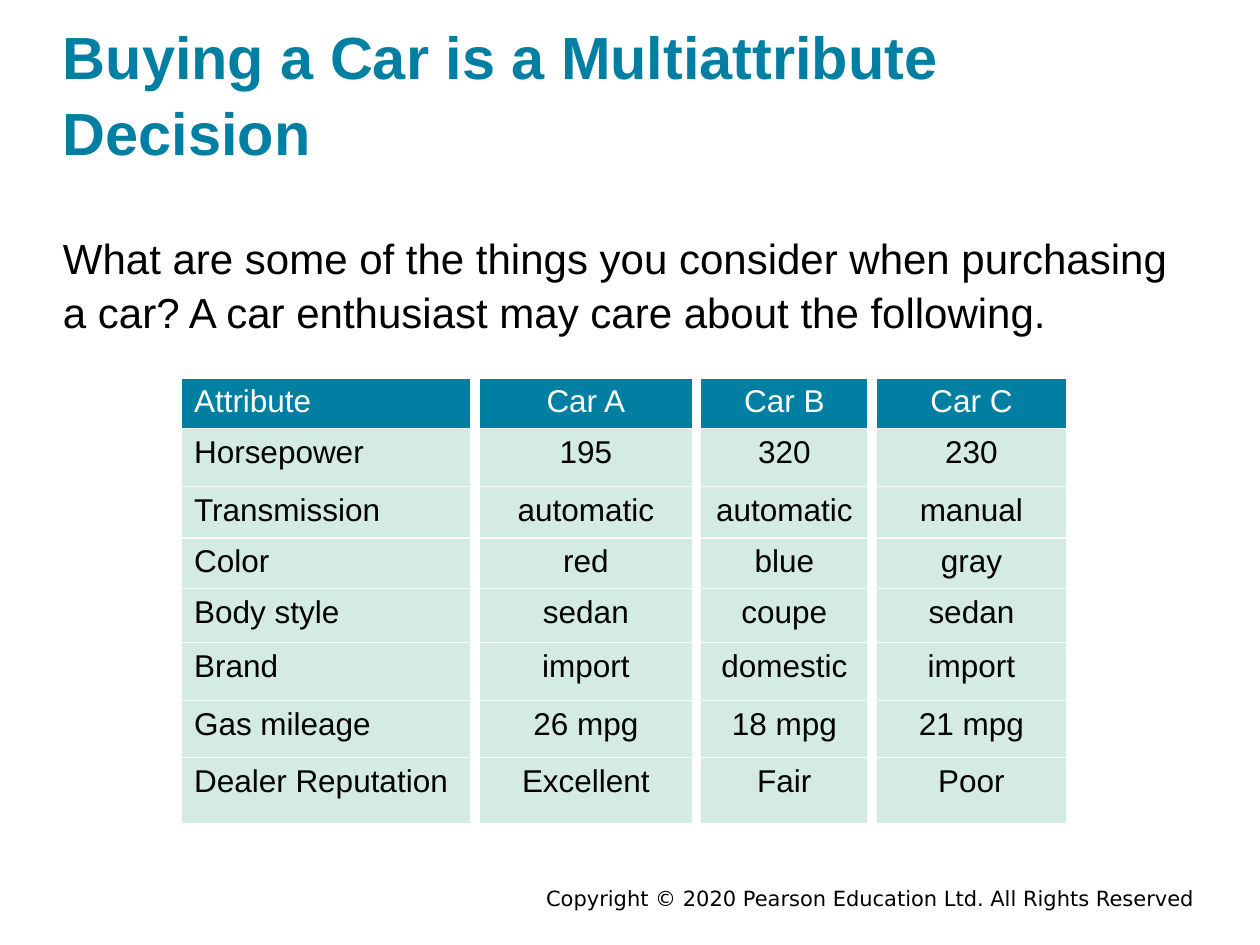
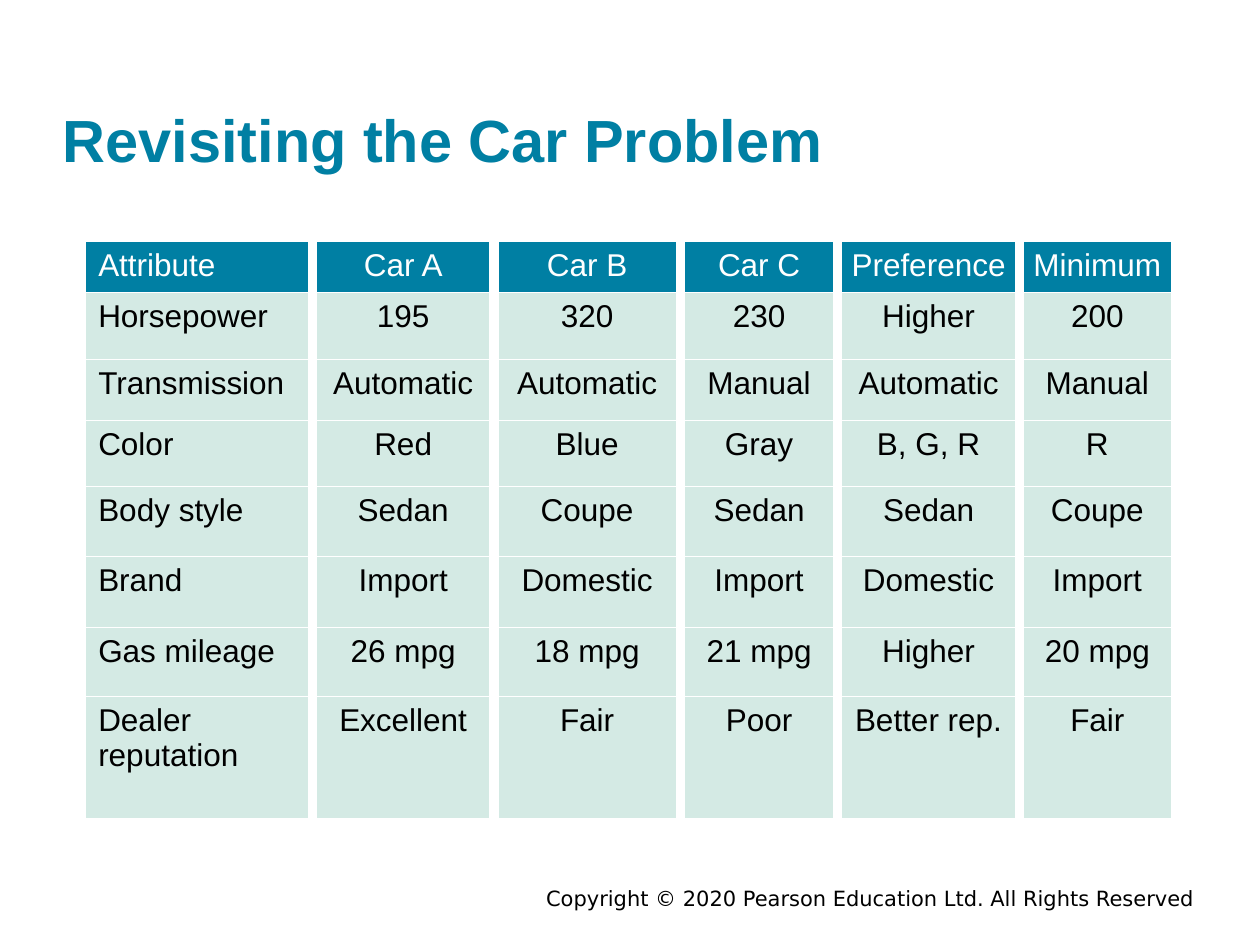
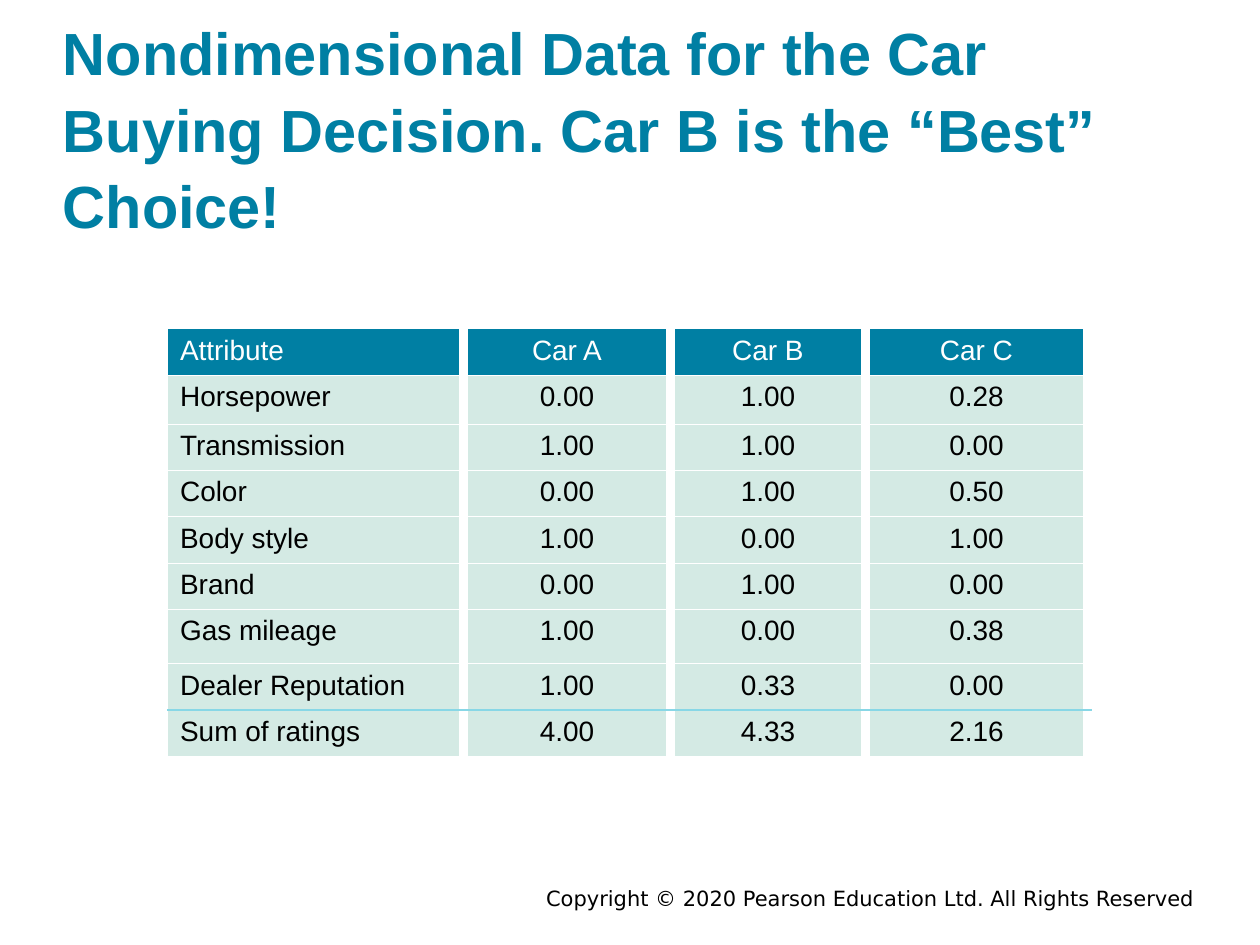
from lxml.etree import SubElement
from pptx import Presentation
from pptx.dml.color import RGBColor
from pptx.enum.text import MSO_ANCHOR, PP_ALIGN
from pptx.oxml.ns import qn
from pptx.util import Inches, Pt

COLORS = {
    "teal": "007FA3",
    "mint": "D4EAE4",
    "aqua": "88D7E6",
    "white": "FFFFFF",
    "black": "000000",
}
FONT = "Arial"
NOTICE = "Copyright © 2020 Pearson Education Ltd. All Rights Reserved"
LABELS = ["Horsepower", "Transmission", "Color", "Body style", "Brand",
          "Gas mileage"]


def rgb(name):
    return RGBColor.from_string(COLORS[name])


def add_run(para, text, size, color, font=FONT, bold=False):
    run = para.add_run()
    run.text = text
    run.font.name = font
    run.font.size = Pt(size)
    run.font.bold = bold
    run.font.color.rgb = rgb(color)


def add_text(slide, box, text, size, color, align=PP_ALIGN.LEFT,
             anchor=MSO_ANCHOR.TOP, spacing=1.0, font=FONT, bold=False):
    frame = slide.shapes.add_textbox(*map(Inches, box)).text_frame
    frame.word_wrap = True
    frame.vertical_anchor = anchor
    frame.margin_left = frame.margin_right = 0
    frame.margin_top = frame.margin_bottom = 0
    para = frame.paragraphs[0]
    para.alignment = align
    para.line_spacing = spacing
    add_run(para, text, size, color, font, bold)


def add_page(deck, title, top, height):
    """Blank slide with the shared footer and title style."""
    slide = deck.slides.add_slide(deck.slide_layouts[6])
    add_text(slide, (2.84, 7.03, 6.64, 0.3), NOTICE, 12, "black",
             align=PP_ALIGN.RIGHT, font="DejaVu Sans")
    add_text(slide, (0.5, top, 9, height), title, 34, "teal",
             anchor=MSO_ANCHOR.BOTTOM, spacing=1.07, bold=True)
    return slide


def set_edges(cell, edges):
    """Draw cell borders, given as side: (color, points)."""
    props = cell._tc.get_or_add_tcPr()
    sides = [side for side in "LRTB" if side in edges]
    for spot, side in enumerate(sides):
        color, width = edges[side]
        line = SubElement(props, qn(f"a:ln{side}"), w=str(Pt(width)))
        fill = SubElement(line, qn("a:solidFill"))
        SubElement(fill, qn("a:srgbClr"), val=COLORS[color])
        props.insert(spot, line)


def add_grid(slide, left, top, widths, heights, rows, size, total=False):
    """Table with wide white gaps; total sets a rule above the last row."""
    frame = slide.shapes.add_table(
        len(rows), len(widths), Inches(left), Inches(top),
        Inches(sum(widths)), Inches(sum(heights)))
    table = frame.table
    table.horz_banding = False
    for col, width in zip(table.columns, widths):
        col.width = Inches(width)
    for row, height in zip(table.rows, heights):
        row.height = Inches(height)

    thin, wide, rule = ("white", 0.75), ("white", 6), ("aqua", 1.5)
    last = len(rows) - 1
    for r, row in enumerate(rows):
        for c, text in enumerate(row):
            cell = table.cell(r, c)
            cell.fill.solid()
            cell.fill.fore_color.rgb = rgb("mint" if r else "teal")
            para = cell.text_frame.paragraphs[0]
            para.alignment = PP_ALIGN.CENTER if c else PP_ALIGN.LEFT
            add_run(para, text, size, "black" if r else "white")
            edges = {"R": wide, "T": thin, "B": thin}
            if c:
                edges["L"] = wide
            if total and r == last:
                edges["T"] = rule
            if total and r == last - 1:
                edges["B"] = rule
            set_edges(cell, edges)


def make_rows(labels, *cols):
    """Put a label column beside the columns, each led by its heading."""
    return list(zip(["Attribute", *labels], *cols))


def main():
    deck = Presentation()
    deck.slide_width, deck.slide_height = Inches(10), Inches(7.5)

    # Attributes of each car
    slide = add_page(deck, "Buying a Car is a Multiattribute Decision",
                     0.21, 1.12)
    add_text(slide, (0.5, 1.81, 9, 0.92),
             "What are some of the things you consider when purchasing a car? "
             "A car enthusiast may care about the following.",
             24, "black", spacing=1.08)
    rows = make_rows(
        LABELS + ["Dealer Reputation"],
        ["Car A", "195", "automatic", "red", "sedan", "import", "26 mpg",
         "Excellent"],
        ["Car B", "320", "automatic", "blue", "coupe", "domestic", "18 mpg",
         "Fair"],
        ["Car C", "230", "manual", "gray", "sedan", "import", "21 mpg",
         "Poor"])
    add_grid(slide, 1.44, 3, [2.33, 1.76, 1.39, 1.58],
             [0.36, 0.46, 0.41, 0.38, 0.43, 0.46, 0.45, 0.53], rows, 18)

    # Preferences and minimum levels
    slide = add_page(deck, "Revisiting the Car Problem", 0.69, 0.69)
    rows = make_rows(
        LABELS + ["Dealer reputation"],
        ["Car A", "195", "Automatic", "Red", "Sedan", "Import", "26 mpg",
         "Excellent"],
        ["Car B", "320", "Automatic", "Blue", "Coupe", "Domestic", "18 mpg",
         "Fair"],
        ["Car C", "230", "Manual", "Gray", "Sedan", "Import", "21 mpg",
         "Poor"],
        ["Preference", "Higher", "Automatic", "B, G, R", "Sedan", "Domestic",
         "Higher", "Better rep."],
        ["Minimum", "200", "Manual", "R", "Coupe", "Import", "20 mpg",
         "Fair"])
    add_grid(slide, 0.68, 1.92, [1.8, 1.44, 1.48, 1.25, 1.44, 1.24],
             [0.36, 0.53, 0.49, 0.52, 0.56, 0.56, 0.55, 0.97], rows, 18)

    # Ratings and their sums
    slide = add_page(deck, "Nondimensional Data for the Car Buying Decision. "
                     "Car B is the “Best” Choice!", 0.11, 1.8)
    rows = make_rows(
        LABELS + ["Dealer Reputation", "Sum of ratings"],
        ["Car A", "0.00", "1.00", "0.00", "1.00", "0.00", "1.00", "1.00",
         "4.00"],
        ["Car B", "1.00", "1.00", "1.00", "0.00", "1.00", "0.00", "0.33",
         "4.33"],
        ["Car C", "0.28", "0.00", "0.50", "1.00", "0.00", "0.38", "0.00",
         "2.16"])
    add_grid(slide, 1.33, 2.61, [2.35, 1.64, 1.55, 1.76],
             [0.34, 0.39, 0.34, 0.36, 0.37, 0.34, 0.43, 0.34, 0.34],
             rows, 16, total=True)

    deck.save("out.pptx")


if __name__ == "__main__":
    main()
